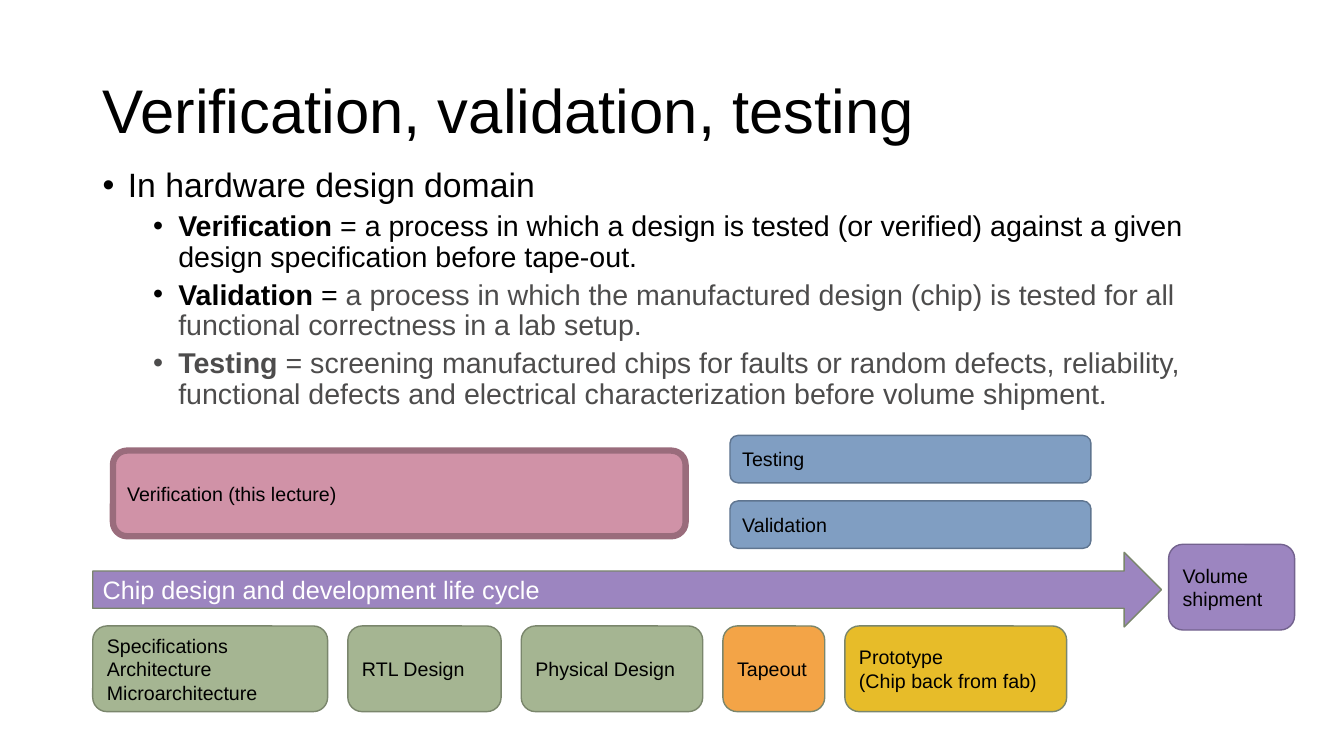
"""Builds a slide on verification, validation and testing in the chip life cycle."""
from dataclasses import dataclass
from typing import NamedTuple

from lxml.etree import SubElement
from pptx import Presentation
from pptx.dml.color import RGBColor
from pptx.enum.shapes import MSO_SHAPE as Shape
from pptx.enum.text import MSO_ANCHOR as Anchor, PP_ALIGN as Align
from pptx.oxml.ns import qn
from pptx.slide import Slide
from pptx.text.text import TextFrame, _Paragraph as Paragraph
from pptx.util import Emu, Pt

PX = 9144


@dataclass(frozen=True)
class Theme:
    font: str = "Arial"
    black: str = "000000"
    white: str = "FFFFFF"
    grey: str = "4D4C4C"
    green: str = "A5B592"
    orange: str = "F3A447"
    yellow: str = "E7BC29"
    purple: str = "9C85C0"
    pink: str = "D092A7"
    blue: str = "809EC2"
    green_edge: str = "7A866C"
    purple_edge: str = "73628E"
    pink_edge: str = "9A6C7C"
    blue_edge: str = "5F7590"
    title_size: float = 44
    lead_size: float = 24.1
    point_size: float = 20.4
    arrow_size: float = 18
    box_size: float = 14


THEME = Theme()


class Area(NamedTuple):
    left: int
    top: int
    width: int
    height: int


class Span(NamedTuple):
    text: str
    color: str = THEME.black
    bold: bool = False


class Bullet(NamedTuple):
    spans: tuple[Span, ...]
    level: int = 1


class Stage(NamedTuple):
    text: str
    width: int
    fill: str


class Box(NamedTuple):
    area: Area
    text: str
    fill: str
    edge: str
    edge_width: float = 1
    shape: Shape = Shape.FLOWCHART_ALTERNATE_PROCESS
    size: float = THEME.box_size
    color: str = THEME.black


TITLE = "Verification, validation, testing"
TITLE_AREA = Area(92, 40, 1150, 145)
BODY_AREA = Area(92, 162, 1150, 267)
BULLETS = (
    Bullet((Span("In hardware design domain"),), 0),
    Bullet((
        Span("Verification", bold=True),
        Span(" = a process in which a design is tested (or verified) against "
             "a given design specification before tape-out."),
    )),
    Bullet((
        Span("Validation", bold=True),
        Span(" = "),
        Span("a process in which the manufactured design (chip) is tested for all "
             "functional correctness in a lab setup.", THEME.grey),
    )),
    Bullet((
        Span("Testing", THEME.grey, True),
        Span(" = screening manufactured chips for faults or random defects, reliability, "
             "functional defects and electrical characterization before volume shipment.",
             THEME.grey),
    )),
)

STAGE_LEFT, STAGE_TOP, STAGE_HEIGHT, STAGE_GAP = 92, 621, 85, 20
STAGES = (
    Stage("Specifications\nArchitecture\nMicroarchitecture", 233, THEME.green),
    Stage("RTL Design", 152, THEME.green),
    Stage("Physical Design", 180, THEME.green),
    Stage("Tapeout", 101, THEME.orange),
    Stage("Prototype\n(Chip back from fab)", 220, THEME.yellow),
)
ACTIVITIES = (
    Box(Area(92, 548, 1060, 74), "Chip design and development life cycle", THEME.purple,
        THEME.green_edge, shape=Shape.RIGHT_ARROW, size=THEME.arrow_size, color=THEME.white),
    Box(Area(112, 447, 568, 85), "Verification (this lecture)", THEME.pink,
        THEME.pink_edge, 4.5),
    Box(Area(724, 497, 358, 47), "Validation", THEME.blue, THEME.blue_edge),
    Box(Area(724, 432, 358, 47), "Testing", THEME.blue, THEME.blue_edge),
    Box(Area(1159, 540, 125, 85), "Volume shipment", THEME.purple, THEME.purple_edge),
)


def emu(area: Area) -> tuple[Emu, ...]:
    """Turn an area in px into EMU lengths."""
    return tuple(Emu(length * PX) for length in area)


def add_span(para: Paragraph, span: Span, size: float) -> None:
    """Append one formatted run to a paragraph."""
    run = para.add_run()
    run.text = span.text
    run.font.name = THEME.font
    run.font.size = Pt(size)
    run.font.bold = span.bold
    run.font.color.rgb = RGBColor.from_string(span.color)


def add_text_area(page: Slide, area: Area) -> TextFrame:
    """Add a wrapping text box and return its frame."""
    frame = page.shapes.add_textbox(*emu(area)).text_frame
    frame.word_wrap = True
    return frame


def add_title(page: Slide) -> None:
    """Write the slide title."""
    frame = add_text_area(page, TITLE_AREA)
    frame.vertical_anchor = Anchor.MIDDLE
    para = frame.paragraphs[0]
    para.line_spacing = 0.9
    add_span(para, Span(TITLE), THEME.title_size)


def add_bullets(page: Slide) -> None:
    """Write the bulleted definitions."""
    frame = add_text_area(page, BODY_AREA)
    for index, bullet in enumerate(BULLETS):
        para = frame.add_paragraph() if index else frame.paragraphs[0]
        para.level = bullet.level
        para.line_spacing = 0.9
        para.space_before = Pt(5 if bullet.level else 10)
        properties = para._p.get_or_add_pPr()
        properties.set("marL", str((25 + 50 * bullet.level) * PX))
        properties.set("indent", str(-25 * PX))
        SubElement(properties, qn("a:buFont")).set("typeface", THEME.font)
        SubElement(properties, qn("a:buChar")).set("char", "•")
        for span in bullet.spans:
            add_span(para, span, THEME.point_size if bullet.level else THEME.lead_size)


def add_box(page: Slide, box: Box) -> None:
    """Draw a filled shape with left-aligned text."""
    shape = page.shapes.add_shape(box.shape, *emu(box.area))
    shape.shadow.inherit = False
    shape.fill.solid()
    shape.fill.fore_color.rgb = RGBColor.from_string(box.fill)
    shape.line.color.rgb = RGBColor.from_string(box.edge)
    shape.line.width = Pt(box.edge_width)
    frame = shape.text_frame
    frame.word_wrap = True
    frame.vertical_anchor = Anchor.MIDDLE
    frame.text = box.text
    for para in frame.paragraphs:
        para.alignment = Align.LEFT
        for run in para.runs:
            run.font.name = THEME.font
            run.font.size = Pt(box.size)
            run.font.color.rgb = RGBColor.from_string(box.color)


def add_stages(page: Slide) -> None:
    """Lay the life cycle stages in a row with equal gaps."""
    left = STAGE_LEFT
    for stage in STAGES:
        area = Area(left, STAGE_TOP, stage.width, STAGE_HEIGHT)
        add_box(page, Box(area, stage.text, stage.fill, THEME.green_edge))
        left += stage.width + STAGE_GAP


def main() -> None:
    """Build and save the deck."""
    deck = Presentation()
    deck.slide_width, deck.slide_height = Emu(1333 * PX), Emu(750 * PX)
    page = deck.slides.add_slide(deck.slide_layouts[6])
    add_title(page)
    add_bullets(page)
    add_stages(page)
    for box in ACTIVITIES:
        add_box(page, box)
    deck.save("out.pptx")


if __name__ == "__main__":
    main()
